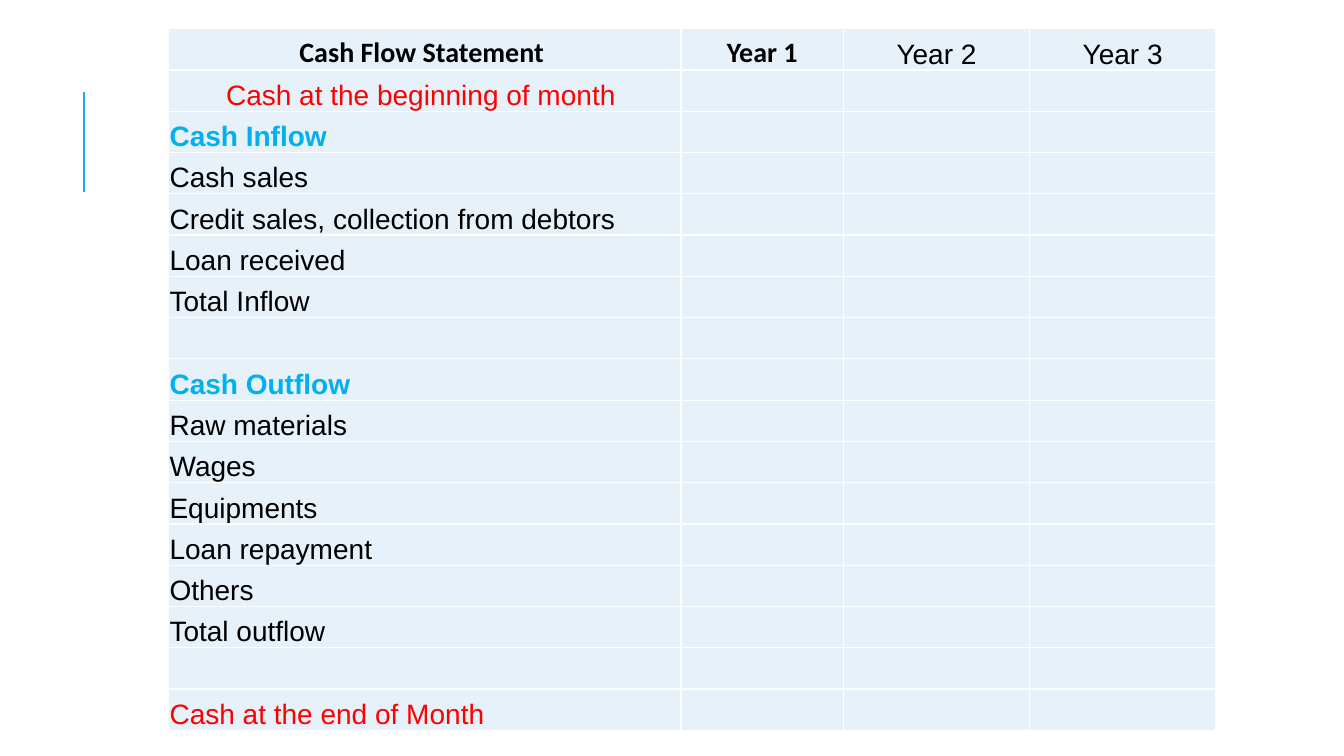
from lxml import etree
from pptx import Presentation
from pptx.dml.color import RGBColor
from pptx.enum.shapes import MSO_CONNECTOR
from pptx.enum.text import MSO_ANCHOR, PP_ALIGN
from pptx.oxml import parse_xml
from pptx.oxml.ns import nsdecls, qn
from pptx.util import Pt

STRAIGHT = MSO_CONNECTOR.STRAIGHT
BOTTOM = MSO_ANCHOR.BOTTOM
LEFT, CENTER = PP_ALIGN.LEFT, PP_ALIGN.CENTER

COLORS = {
    "accent": "1CADE4",
    "cell": "E7F1FA",
    "grid": "FFFFFF",
    "text": "000000",
    "group": "00B0F0",
    "cash": "FF0000",
}

HEADS = [
    ("Cash Flow Statement ", {"font": "Calibri", "bold": True}),
    ("Year 1", {"font": "Calibri", "bold": True}),
    ("Year 2", {}),
    ("Year 3", {}),
]
GROUP = {"color": "group", "bold": True}
ITEMS = [
    ("Cash at the beginning of month ", {"color": "cash", "align": CENTER}),
    ("Cash Inflow", GROUP),
    ("Cash sales", {}),
    ("Credit sales, collection from debtors", {}),
    ("Loan received", {}),
    ("Total Inflow", {}),
    ("", {}),
    ("Cash Outflow", GROUP),
    ("Raw materials", {}),
    ("Wages", {}),
    ("Equipments", {}),
    ("Loan repayment", {}),
    ("Others", {}),
    ("Total outflow", {}),
    ("", {}),
    ("Cash at the end of Month", {"color": "cash"}),
]
WIDTHS = [366, 116, 133, 133]
HEIGHT = 29.5


def paint(name):
    return RGBColor.from_string(COLORS[name])


def write(frame, text, font="Arial", size=20, color="text", bold=False, align=LEFT):
    para = frame.paragraphs[0]
    para.alignment = align
    para.font.size = Pt(size)
    if text:
        run = para.add_run()
        run.text = text
        run.font.name = font
        run.font.size = Pt(size)
        run.font.bold = bold
        run.font.color.rgb = paint(color)


class Deck:
    def __init__(self, width, height):
        self.show = Presentation()
        self.show.slide_width = Pt(width)
        self.show.slide_height = Pt(height)
        self.slide = self.show.slides.add_slide(self.show.slide_layouts[6])

    def line(self, x1, y1, x2, y2, color, width):
        line = self.slide.shapes.add_connector(STRAIGHT, Pt(x1), Pt(y1), Pt(x2), Pt(y2))
        line.line.color.rgb = paint(color)
        line.line.width = Pt(width)
        etree.SubElement(line._element.spPr, qn("a:effectLst"))

    def border(self, cell, color, width):
        props = cell._tc.get_or_add_tcPr()
        for index, side in enumerate(("lnL", "lnR", "lnT", "lnB")):
            props.insert(index, parse_xml(
                f'<a:{side} {nsdecls("a")} w="{Pt(width)}"><a:solidFill>'
                f'<a:srgbClr val="{COLORS[color]}"/></a:solidFill></a:{side}>'))

    def cell(self, cell, text, style):
        cell.fill.solid()
        cell.fill.fore_color.rgb = paint("cell")
        cell.vertical_anchor = BOTTOM
        cell.margin_left = cell.margin_right = cell.margin_top = Pt(0.6)
        cell.margin_bottom = Pt(0)
        self.border(cell, "grid", 1)
        write(cell.text_frame, text, **style)

    def table(self, x, y, widths, height, rows):
        table = self.slide.shapes.add_table(
            len(rows), len(widths), Pt(x), Pt(y),
            Pt(sum(widths)), Pt(height * len(rows))).table
        for column, width in zip(table.columns, widths):
            column.width = Pt(width)
        for row, cells in zip(table.rows, rows):
            row.height = Pt(height)
            for cell, (text, style) in zip(row.cells, cells):
                self.cell(cell, text, style)


def main():
    deck = Deck(960, 540)
    deck.line(60, 137, 60, 65.5, "accent", 1.5)
    head = [(text, {**style, "align": CENTER}) for text, style in HEADS]
    blank = [("", {})] * (len(WIDTHS) - 1)
    rows = [head] + [[item] + blank for item in ITEMS]
    deck.table(120.5, 20.5, WIDTHS, HEIGHT, rows)
    deck.show.save("out.pptx")


if __name__ == "__main__":
    main()
